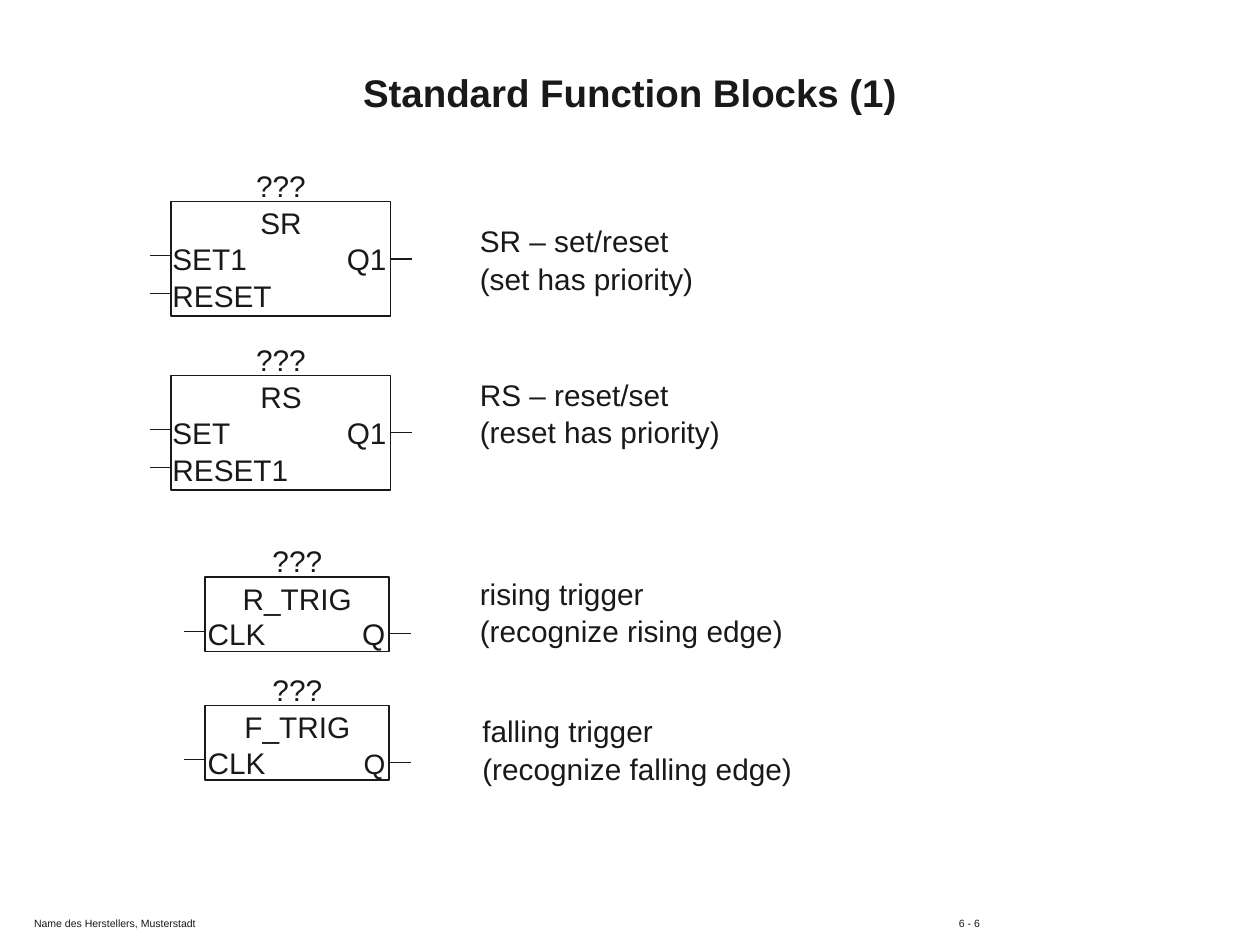
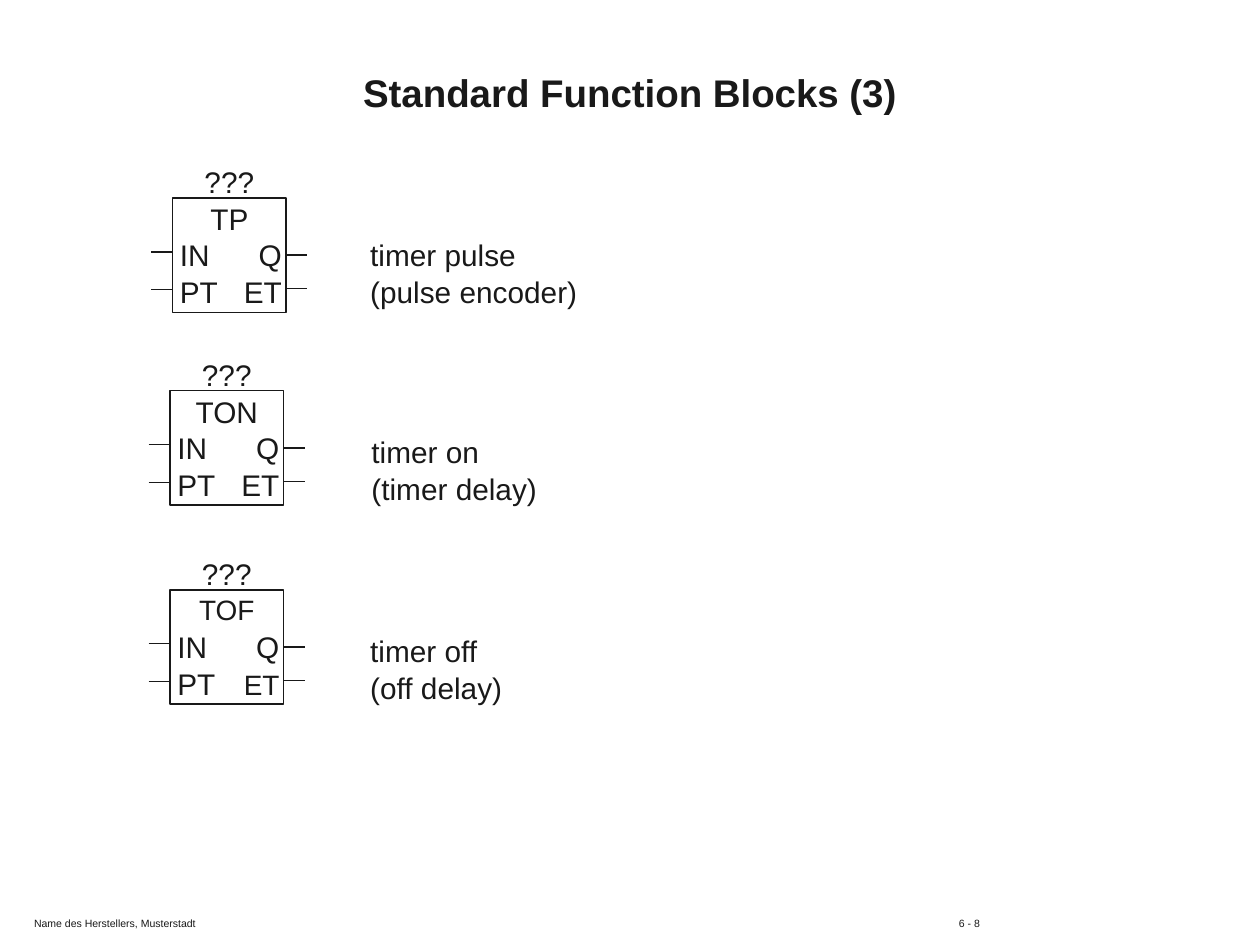
"""Build two slides on the standard function blocks of a PLC."""
import pptx
import pptx.dml.color
import pptx.enum.shapes
import pptx.enum.text
import pptx.oxml
import pptx.util
from pptx.util import Inches

INK = pptx.dml.color.RGBColor(0x19, 0x19, 0x19)
FONT = "Arial"
BODY_SIZE, SMALL_SIZE = 17, 16
COMPANY = "Name des Herstellers, Musterstadt"

LATCH = {"width": 1.74, "height": 0.91, "header_width": 0.89, "text_shift": -0.09}
TRIGGER = {"width": 1.46, "height": 0.59, "header_width": 1.24, "text_shift": -0.08}
TIMER = {"width": 0.9, "height": 0.91, "header_width": 0.89, "text_shift": -0.04}
TIMER_PINS = [("IN", "Q"), ("PT", "ET")]

PAGES = [
    {"title": "Standard Function Blocks (1)", "number": "6 - 6", "blocks": [
        {"name": "SR", "kind": LATCH, "at": (1.36, 1.6),
         "pins": [("SET1", "Q1"), ("RESET",)],
         "note": ["SR – set/reset", "(set has priority)"], "note_at": (3.71, 1.72)},
        {"name": "RS", "kind": LATCH, "at": (1.36, 2.98),
         "pins": [("SET", "Q1"), ("RESET1",)],
         "note": ["RS – reset/set", "(reset has priority)"], "note_at": (3.71, 2.94)},
        {"name": "R_TRIG", "kind": TRIGGER, "at": (1.63, 4.58),
         "pins": [("CLK", "Q")],
         "note": ["rising trigger", "(recognize rising edge)"], "note_at": (3.71, 4.52)},
        {"name": "F_TRIG", "kind": TRIGGER, "at": (1.63, 5.6),
         "pins": [("CLK", "Q")], "small": ["Q"],
         "note": ["falling trigger", "(recognize falling edge)"], "note_at": (3.73, 5.61)},
    ]},
    {"title": "Standard Function Blocks (3)", "number": "6 - 8", "blocks": [
        {"name": "TP", "kind": TIMER, "at": (1.37, 1.57), "pins": TIMER_PINS,
         "note": ["timer pulse", "(pulse encoder)"], "note_at": (2.84, 1.83)},
        {"name": "TON", "kind": TIMER, "at": (1.35, 3.1), "pins": TIMER_PINS,
         "note": ["timer on", "(timer delay)"], "note_at": (2.85, 3.39)},
        {"name": "TOF", "kind": TIMER, "at": (1.35, 4.68), "pins": TIMER_PINS,
         "small": ["TOF", "ET"],
         "note": ["timer off", "(off delay)"], "note_at": (2.84, 4.97)},
    ]},
]

STUB = 0.17
INPUT_ROWS = (0.43, 0.73)
OUTPUT_ROWS = (0.45, 0.72)
HEADER_RISE = 0.32
PINS_DROP = 0.26
PIN_MARGIN = 0.03
INSET = 0.1


def add_tab_stop(para, position, align):
    """Give a paragraph one tab stop."""
    properties = para._p.get_or_add_pPr()
    stops = properties.makeelement(pptx.oxml.ns.qn("a:tabLst"), {})
    stop = stops.makeelement(
        pptx.oxml.ns.qn("a:tab"), {"pos": str(Inches(position)), "algn": align})
    stops.append(stop)
    properties.append(stops)


def add_text(page, lines, area, size=BODY_SIZE, bold=False, centred=False, small=(),
             tab=None, insets=(INSET, 0.05), middle=False, gap=1):
    """Write lines, each a string or a tuple of spans parted by tabs."""
    box = page.shapes.add_textbox(*map(Inches, area))
    frame = box.text_frame
    frame.word_wrap = True
    frame.margin_left = frame.margin_right = Inches(insets[0])
    frame.margin_top = frame.margin_bottom = Inches(insets[1])
    if middle:
        frame.vertical_anchor = pptx.enum.text.MSO_ANCHOR.MIDDLE
    for index, line in enumerate(lines):
        para = frame.add_paragraph() if index else frame.paragraphs[0]
        para.space_after = pptx.util.Pt(gap)
        if centred:
            para.alignment = pptx.enum.text.PP_ALIGN.CENTER
        if tab:
            add_tab_stop(para, *tab)
        spans = (line,) if isinstance(line, str) else line
        for position, words in enumerate(spans):
            span = para.add_run()
            span.text = "\t" + words if position else words
            span.font.name = FONT
            span.font.size = pptx.util.Pt(SMALL_SIZE if words in small else size)
            span.font.bold = bold
            span.font.color.rgb = INK


def add_stub(page, x, y):
    """Draw the short wire of one pin, starting at its left end."""
    wire = page.shapes.add_connector(
        pptx.enum.shapes.MSO_CONNECTOR.STRAIGHT,
        Inches(x), Inches(y), Inches(x + STUB), Inches(y))
    wire.line.color.rgb = INK
    wire.line.width = pptx.util.Pt(0.75)
    properties = wire._element.spPr
    properties.append(properties.makeelement(pptx.oxml.ns.qn("a:effectLst"), {}))
    return wire


def add_block(page, block):
    """Draw a function block with its wires, labels and explanation."""
    kind, (left, top) = block["kind"], block["at"]
    width, height = kind["width"], kind["height"]
    right, middle = left + width, height / 2
    small = block.get("small", ())

    body = page.shapes.add_shape(
        pptx.enum.shapes.MSO_SHAPE.RECTANGLE, *map(Inches, (left, top, width, height)))
    body.shadow.inherit = False
    body.fill.background()
    body.line.color.rgb = INK
    body.line.width = pptx.util.Pt(1)

    for pins, input_row, output_row in zip(block["pins"], INPUT_ROWS, OUTPUT_ROWS):
        add_stub(page, left - STUB, top + input_row)
        if len(pins) == 2:
            at_middle = abs(output_row - middle) < 0.01
            wire = add_stub(page, right, top + (middle if at_middle else output_row))
            if at_middle:
                wire.begin_connect(body, 3)

    header_width = kind["header_width"]
    add_text(page, ["???", block["name"]],
             (left + (width - header_width) / 2, top - HEADER_RISE, header_width, 0.67),
             centred=True, small=small)
    text_left = left + kind["text_shift"]
    stop = right - PIN_MARGIN - text_left - INSET
    add_text(page, block["pins"], (text_left, top + PINS_DROP, width + 0.2, height - 0.03),
             small=small, tab=(stop, "r"))
    add_text(page, block["note"], (*block["note_at"], 3.7, 0.67))


def main():
    deck = pptx.Presentation()
    deck.slide_width, deck.slide_height = Inches(10), Inches(7.5)
    for content in PAGES:
        page = deck.slides.add_slide(deck.slide_layouts[6])
        add_text(page, [(COMPANY, content["number"])], (0.18, 7.24, 7.88, 0.19),
                 size=6, tab=(7.34, "l"), insets=(0.09, 0.04), gap=0)
        add_text(page, [content["title"]], (0.38, 0.48, 9.24, 0.5),
                 size=22, bold=True, centred=True, middle=True, gap=0)
        for block in content["blocks"]:
            add_block(page, block)
    deck.save("out.pptx")


if __name__ == "__main__":
    main()
